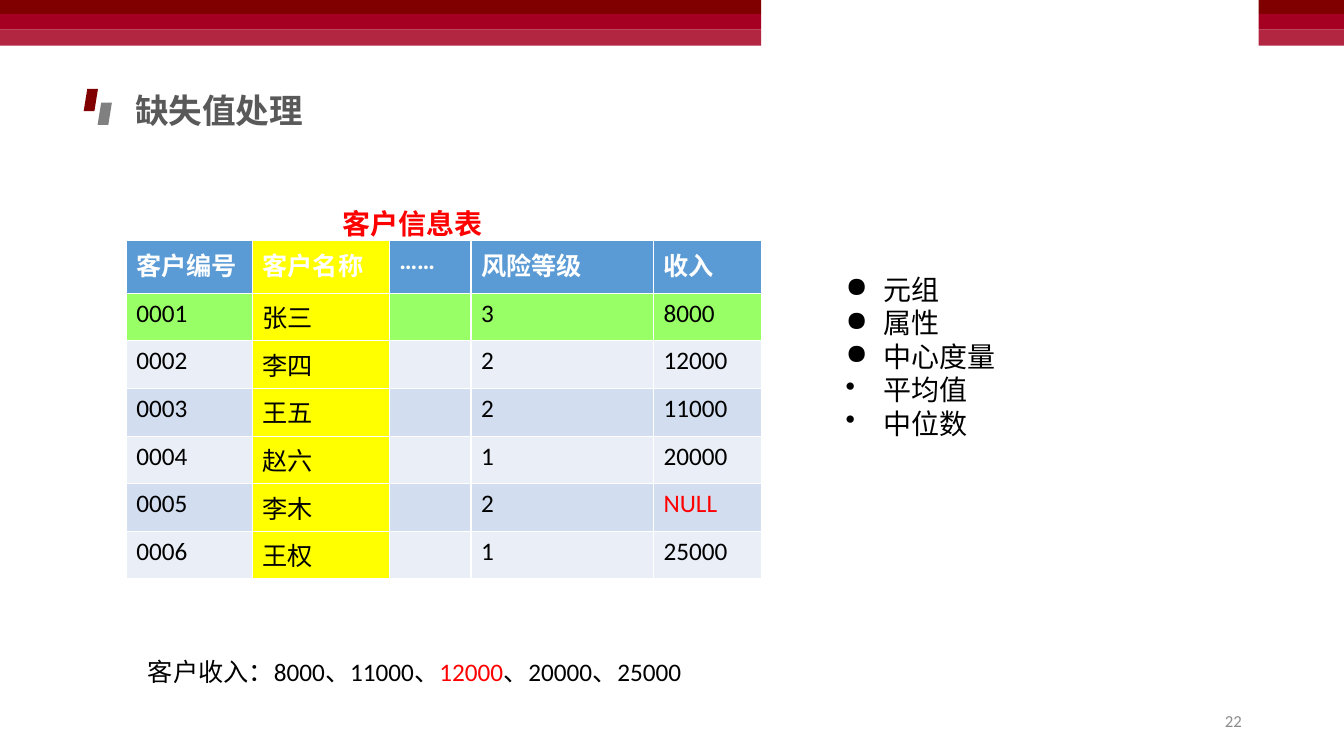
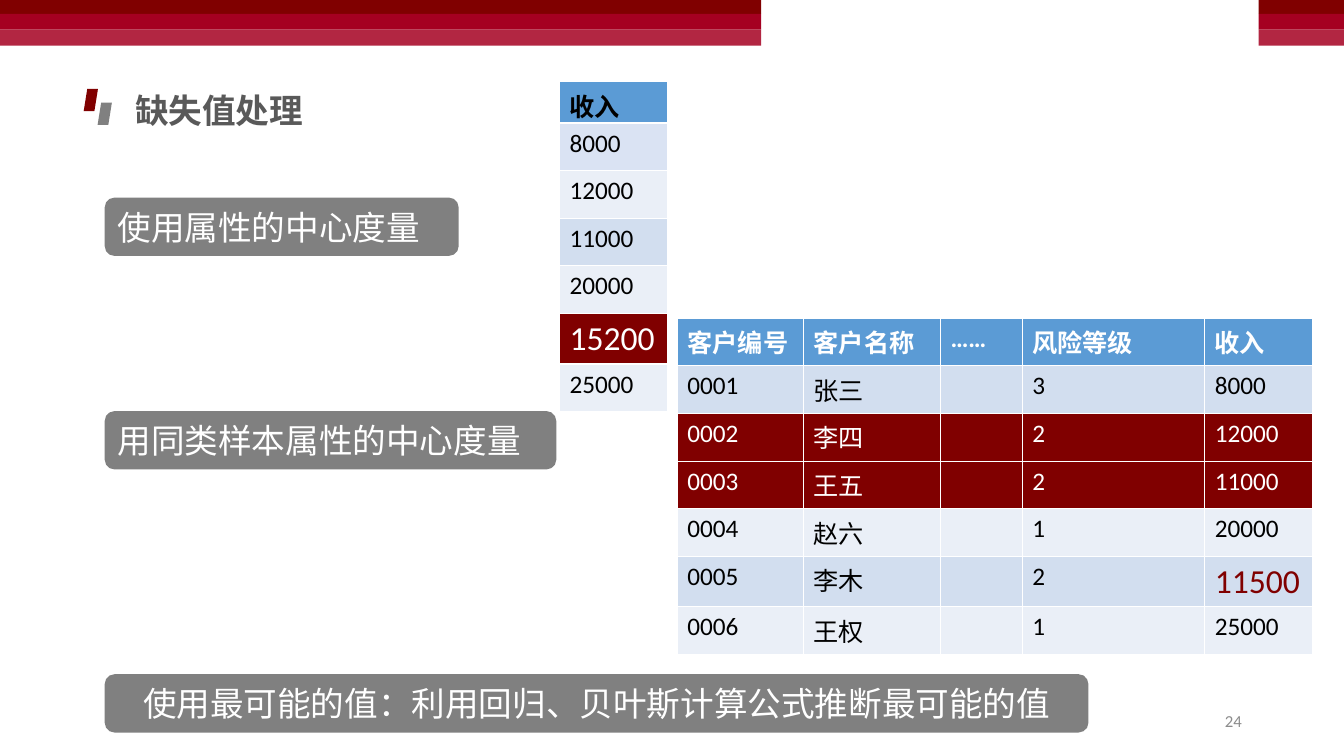
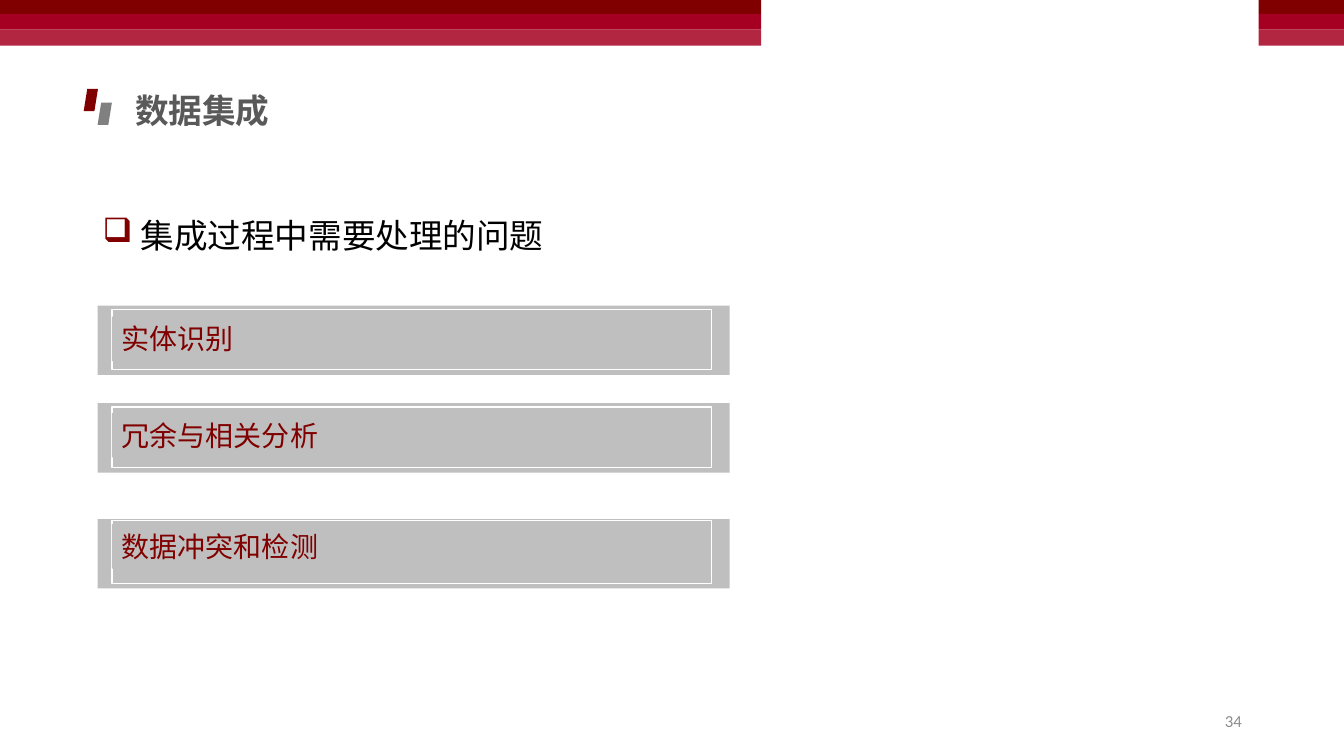
from dataclasses import dataclass
from itertools import accumulate

from lxml.etree import SubElement
from pptx import Presentation
from pptx.dml.color import RGBColor
from pptx.enum.shapes import MSO_SHAPE
from pptx.enum.text import MSO_ANCHOR, PP_ALIGN
from pptx.oxml.ns import qn
from pptx.util import Cm, Pt


@dataclass(frozen=True)
class Theme:
    latin: str = "Calibri"
    cjk: str = "Noto Sans CJK SC"
    maroon: str = "800000"
    crimson: str = "A50021"
    rose: str = "B22642"
    red: str = "FF0000"
    gray: str = "808080"
    silver: str = "BFBFBF"
    title_gray: str = "595959"
    page_gray: str = "8C8C8C"
    black: str = "000000"
    white: str = "FFFFFF"
    blue: str = "5B9BD5"
    band_odd: str = "D2DEEF"
    band_even: str = "EAEFF7"
    band_first: str = "DAE3F3"
    yellow: str = "FFFF00"
    green: str = "99FF66"
    large: int = 24
    medium: int = 20
    body: int = 18
    small: int = 12


T = Theme()
SLIDE_W, SLIDE_H = 33.87, 19.05
ROW_H = 1.2
CUSTOMER_COLS = [3.18, 3.45, 2.06, 4.6, 2.72]
CUSTOMER_HEAD = ["客户编号", "客户名称", "……", "风险等级", "收入"]
NAMES = ["张三", "李四", "王五", "赵六", "李木", "王权"]
RISKS = [3, 2, 2, 1, 2, 1]


def rgb(color):
    return RGBColor.from_string(color)


def add_run(p, text, size, color, bold=False, font=T.latin):
    r = p.add_run()
    r.text = text
    r.font.size, r.font.bold, r.font.name = Pt(size), bold, font
    r.font.color.rgb = rgb(color)
    SubElement(r.font._element, qn("a:ea"), typeface=T.cjk)


def add_box(slide, kind, box, fill, line=None):
    sp = slide.shapes.add_shape(kind, *map(Cm, box))
    sp.shadow.inherit = False
    sp.fill.solid()
    sp.fill.fore_color.rgb = rgb(fill)
    if line:
        sp.line.color.rgb = rgb(line)
        sp.line.width = Pt(1)
    else:
        sp.line.fill.background()
    return sp


def add_text(slide, box, *runs, size=T.body, bold=False, fill=None):
    """Text box with one paragraph; each run is (text, color)."""
    tb = slide.shapes.add_textbox(*map(Cm, box))
    if fill:
        tb.fill.solid()
        tb.fill.fore_color.rgb = rgb(fill)
    tf = tb.text_frame
    tf.word_wrap = True
    for text, color in runs:
        add_run(tf.paragraphs[0], text, size, color, bold)
    return tf


def set_bullet(p, char, indent, color=None):
    pPr = p._p.get_or_add_pPr()
    pPr.set("marL", str(Cm(indent)))
    pPr.set("indent", str(-Cm(indent)))
    if color:
        SubElement(SubElement(pPr, qn("a:buClr")), qn("a:srgbClr"), val=color)
    SubElement(pPr, qn("a:buChar"), char=char)


def decorate_layout(slide, layout):
    """Draw the bands and title mark, then move them into the layout."""
    shapes = []
    # Top bands, left and right
    heights = [0.35, 0.4, 0.4]
    tops = accumulate([0] + heights[:-1])
    for top, height, color in zip(tops, heights, [T.maroon, T.crimson, T.rose]):
        for left, width in [(0, 19.18), (31.72, SLIDE_W - 31.72)]:
            shapes.append(add_box(slide, MSO_SHAPE.RECTANGLE, (left, top, width, height), color))
    # Mark beside the title
    for i, color in enumerate([T.maroon, T.gray]):
        box = (2.11 + 0.35 * i, 2.24 + 0.35 * i, 0.36, 0.56)
        shapes.append(add_box(slide, MSO_SHAPE.PARALLELOGRAM, box, color))
    for sp in shapes:
        layout.shapes._spTree.append(sp._element)


def add_slide(prs, title, number):
    layout = prs.slide_layouts[5]
    slide = prs.slides.add_slide(layout)
    if len(prs.slides) == 1:
        decorate_layout(slide, layout)
    # Title
    sp = slide.shapes.title
    sp.left, sp.top, sp.width, sp.height = map(Cm, (3.15, 2.13, 10.46, 1.27))
    tf = sp.text_frame
    tf.vertical_anchor = MSO_ANCHOR.TOP
    p = tf.paragraphs[0]
    p.alignment = PP_ALIGN.LEFT
    add_run(p, title, T.large, T.title_gray, True, T.cjk)
    # Page number
    tf = add_text(slide, (23.93, 17.65, 7.62, 1.02), (number, T.page_gray), size=T.small)
    tf.vertical_anchor = MSO_ANCHOR.MIDDLE
    tf.paragraphs[0].alignment = PP_ALIGN.RIGHT
    return slide


def add_table(slide, left, top, cols, head_h, rows, style, head_color=T.white):
    """Banded table; style(row, col) gives overrides for fill, color and size."""
    height = head_h + ROW_H * (len(rows) - 1)
    frame = slide.shapes.add_table(len(rows), len(cols), *map(Cm, (left, top, sum(cols), height)))
    table = frame.table
    for col, width in zip(table.columns, cols):
        col.width = Cm(width)
    for i, values in enumerate(rows):
        table.rows[i].height = Cm(ROW_H if i else head_h)
        band = (T.band_odd if i % 2 else T.band_even) if i else T.blue
        for j, value in enumerate(values):
            look = {"fill": band, "color": T.black if i else head_color, "size": T.body}
            look.update(style(i, j))
            cell = table.cell(i, j)
            cell.fill.solid()
            cell.fill.fore_color.rgb = rgb(look["fill"])
            if value:
                add_run(cell.text_frame.paragraphs[0], value, look["size"], look["color"], i == 0)


def customer_rows(incomes):
    body = zip(NAMES, RISKS, incomes)
    return [CUSTOMER_HEAD] + [
        [f"{i:04}", name, "", str(risk), income] for i, (name, risk, income) in enumerate(body, 1)
    ]


def add_pill(slide, top, width, text, align=PP_ALIGN.LEFT):
    sp = add_box(slide, MSO_SHAPE.ROUNDED_RECTANGLE, (2.64, top, width, 1.47), T.gray)
    tf = sp.text_frame
    tf.vertical_anchor = MSO_ANCHOR.MIDDLE
    p = tf.paragraphs[0]
    p.alignment = align
    add_run(p, text, T.large, T.white)


def add_bar(slide, left, top, frame_drop, frame_h, label_drop, text):
    add_box(slide, MSO_SHAPE.RECTANGLE, (left, top, 15.93, 1.75), T.silver)
    inner = left + 0.36
    add_box(slide, MSO_SHAPE.RECTANGLE, (inner, top + frame_drop, 15.11, frame_h), T.silver, T.white)
    add_text(slide, (inner, top + label_drop, 14, 1.12), (text, T.maroon),
             size=T.medium, fill=T.silver)


def build_missing_values(prs):
    slide = add_slide(prs, "缺失值处理", "22")

    def style(i, j):
        if j == 1:
            return {"fill": T.yellow}
        if i == 1:
            return {"fill": T.green}
        return {"color": T.red} if (i, j) == (5, 4) else {}

    # Customer table with caption
    incomes = ["8000", "12000", "11000", "20000", "NULL", "25000"]
    add_table(slide, 3.18, 6.07, CUSTOMER_COLS, 1.32, customer_rows(incomes), style)
    add_text(slide, (8.38, 5.08, 4.2, 1.12), ("客户信息表", T.red), size=T.medium, bold=True)
    # Terms
    tf = add_text(slide, (21.06, 6.73, 5, 4.52))
    terms = [("●", "元组"), ("●", "属性"), ("●", "中心度量"), ("•", "平均值"), ("•", "中位数")]
    for i, (char, text) in enumerate(terms):
        p = tf.add_paragraph() if i else tf.paragraphs[0]
        set_bullet(p, char, 0.95)
        add_run(p, text, T.medium, T.black)
    # Sorted incomes with the median in red
    add_text(slide, (3.48, 16.41, 14.1, 1.02), ("客户收入：8000、11000、", T.black),
             ("12000", T.red), ("、20000、25000", T.black))


def build_fill_methods(prs):
    slide = add_slide(prs, "缺失值处理", "24")
    # Methods
    add_pill(slide, 4.98, 8.92, "使用属性的中心度量")
    add_pill(slide, 10.36, 11.38, "用同类样本属性的中心度量")
    add_pill(slide, 16.99, 24.79, "使用最可能的值：利用回归、贝叶斯计算公式推断最可能的值", PP_ALIGN.CENTER)

    def income_style(i, j):
        if i == 5:
            return {"fill": T.maroon, "color": T.white, "size": T.large}
        return {"fill": T.band_first} if i == 1 else {}

    def customer_style(i, j):
        if i in (2, 3):
            return {"fill": T.maroon, "color": T.white}
        return {"color": T.maroon, "size": T.large} if (i, j) == (5, 4) else {}

    # Income column filled with the overall mean
    incomes = ["8000", "12000", "11000", "20000", "15200", "25000"]
    add_table(slide, 14.1, 2.06, CUSTOMER_COLS[-1:], 1.04,
              [[v] for v in ["收入"] + incomes], income_style, T.black)
    # Customer table filled with the mean of the same class
    incomes[4] = "11500"
    add_table(slide, 17.07, 8.03, CUSTOMER_COLS, 1.19, customer_rows(incomes), customer_style)


def build_integration(prs):
    slide = add_slide(prs, "数据集成", "34")
    # Lead line
    tf = add_text(slide, (2.34, 4.93, 12.07, 1.5))
    p = tf.paragraphs[0]
    p.alignment = PP_ALIGN.JUSTIFY
    p.line_spacing = 1.35
    set_bullet(p, "❑", 0.95, T.maroon)
    add_run(p, "集成过程中需要处理的问题", T.large, T.black)
    # Issues
    for top, frame_drop, frame_h, label_drop, text in [
        (7.7, 0.1, 1.52, 0.28, "实体识别"),
        (10.16, 0.1, 1.52, 0.25, "冗余与相关分析"),
        (13.08, 0.03, 1.6, 0.13, "数据冲突和检测"),
    ]:
        add_bar(slide, 2.46, top, frame_drop, frame_h, label_drop, text)


def main():
    prs = Presentation()
    prs.slide_width, prs.slide_height = Cm(SLIDE_W), Cm(SLIDE_H)
    build_missing_values(prs)
    build_fill_methods(prs)
    build_integration(prs)
    prs.save("out.pptx")


if __name__ == "__main__":
    main()
